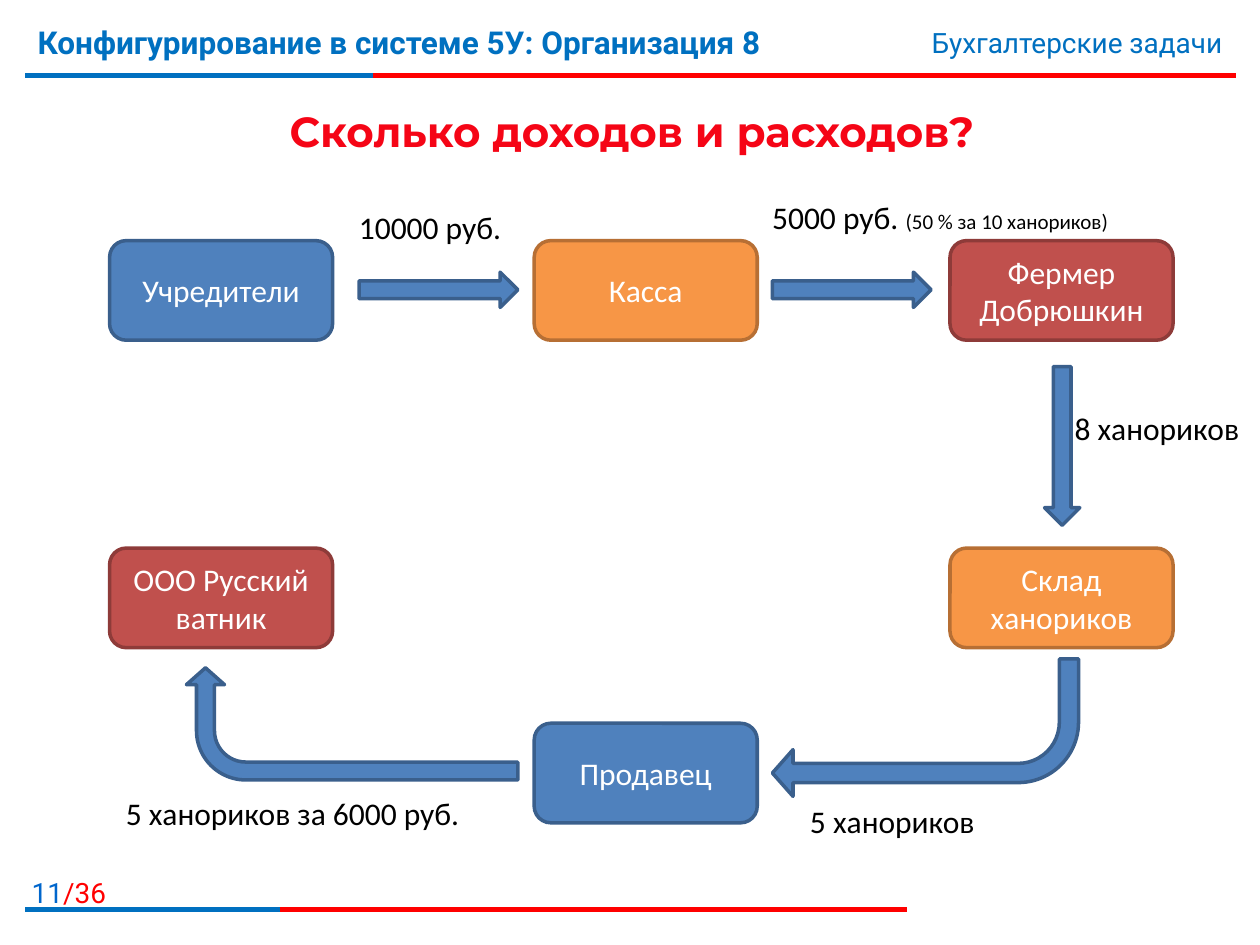
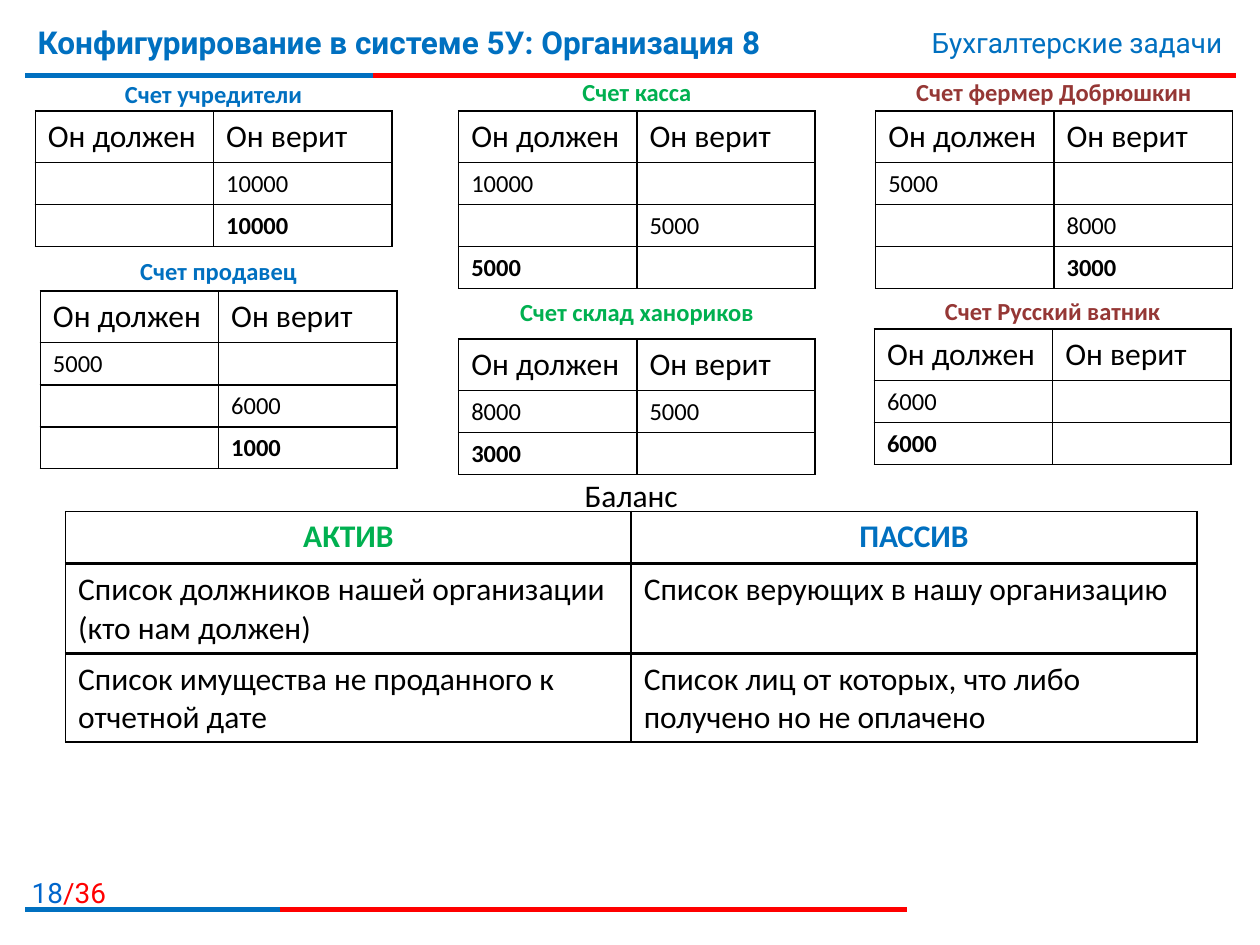
"""Build two accounting slides: a flow of goods and cash, and the account tables."""
from dataclasses import dataclass
from typing import Any, NamedTuple

from lxml import etree
from pptx import Presentation
from pptx import util as u
from pptx.dml.color import RGBColor
from pptx.enum import shapes, text
from pptx.oxml.ns import qn

KIND = shapes.MSO_SHAPE
ALIGN = text.PP_ALIGN


@dataclass(frozen=True)
class Theme:
    """Colours, faces and type sizes of the deck."""
    blue: str = "0070C0"
    page: str = "0066CC"
    red: str = "FF0000"
    green: str = "00B050"
    wine: str = "953735"
    black: str = "000000"
    white: str = "FFFFFF"
    glow: tuple = ((0.55, "F50516"), (0.86, "C00000"))
    sky: tuple = ("4F81BD", "3A5F8C")
    sun: tuple = ("F79646", "B76F34")
    brick: tuple = ("C0504D", "8E3B39")
    body: str = "Calibri"
    head: str = "Roboto"
    show: str = "Montserrat"
    title: int = 24
    large: int = 18
    mid: int = 16
    small: int = 14
    tiny: int = 12


T = Theme()
COLS, ROWS = 100, 75
deck = Presentation()
deck.slide_width, deck.slide_height = u.Inches(10), u.Inches(7.5)


class Box(NamedTuple):
    """A place in grid columns and rows."""
    left: float
    top: float
    wide: float
    high: float

    def place(self) -> tuple:
        """Return the place in slide units."""
        return (across(self.left), down(self.top),
                across(self.wide), down(self.high))


class Node(NamedTuple):
    """A party in the flow."""
    label: str
    left: float
    top: float
    tone: tuple


class Arrow(NamedTuple):
    """A block arrow between parties."""
    kind: Any
    box: Box
    turn: int = 0
    bend: tuple = ()


class Note(NamedTuple):
    """A caption beside an arrow."""
    bits: tuple
    box: Box


class Account(NamedTuple):
    """A titled account whose last row is its total."""
    title: str
    shade: str
    left: float
    head: float
    top: float
    rows: tuple


class Rule(NamedTuple):
    """A red rule whose first stretch is blue."""
    row: float
    end: float
    mark: float


RULES = (Rule(6, 98.1, 29.6), Rule(72.2, 72, 22.2))
NODE_WIDE, NODE_HIGH = 17.7, 7.9
LEFT, MID, RIGHT = 8.7, 42.4, 75.4
UPPER, LOWER, BASE = 19.1, 43.5, 57.4
NODES = (
    Node("Учредители", LEFT, UPPER, T.sky),
    Node("Касса", MID, UPPER, T.sun),
    Node("Фермер Добрюшкин", RIGHT, UPPER, T.brick),
    Node("Склад ханориков", RIGHT, LOWER, T.sun),
    Node("Продавец", MID, BASE, T.sky),
    Node("ООО Русский ватник", LEFT, LOWER, T.brick),
)
ARROWS = (
    Arrow(KIND.RIGHT_ARROW, Box(28.5, 21.6, 12.6, 2.8)),
    Arrow(KIND.RIGHT_ARROW, Box(61.3, 21.6, 12.6, 2.8)),
    Arrow(KIND.DOWN_ARROW, Box(82.9, 29.1, 2.8, 12.6)),
    Arrow(KIND.BENT_ARROW, Box(61.3, 52.3, 24.3, 10.9), 180, (0.14, 0.17, 0.15, 0.44)),
    Arrow(KIND.BENT_ARROW, Box(23.5, 44.3, 8.9, 26.3), 270, (0.16, 0.17, 0.15, 0.44)),
)
NOTES = (
    Note(("10000 руб.",), Box(27.5, 16, 13.8, 4)),
    Note(("5000 руб. ", ("(50 % за 10 ханориков)", T.tiny)), Box(60.3, 15.2, 37.9, 4)),
    Note(("8 ханориков",), Box(84.3, 32, 15.7, 4)),
    Note(("5 ханориков",), Box(63.3, 63.2, 19.5, 4)),
    Note(("5 ханориков за 6000 руб.",), Box(9, 62.5, 30.6, 4)),
)
HEAD_HIGH, ROW_HIGH, PAIR_WIDE = 4.1, 3.33, 28.3
ACCOUNTS = (
    Account("Счет учредители", T.blue, 2.8, 5.8, 8.8,
            (("", "10000"), ("", "10000"))),
    Account("Счет касса", T.green, 36.4, 5.6, 8.8,
            (("10000", ""), ("", "5000"), ("5000", ""))),
    Account("Счет фермер Добрюшкин", T.wine, 69.5, 5.6, 8.8,
            (("5000", ""), ("", "8000"), ("", "3000"))),
    Account("Счет продавец", T.blue, 3.2, 19.8, 23.1,
            (("5000", ""), ("", "6000"), ("", "1000"))),
    Account("Счет склад ханориков", T.green, 36.4, 23.1, 26.9,
            (("8000", "5000"), ("3000", ""))),
    Account("Счет Русский ватник", T.wine, 69.4, 23, 26.1,
            (("6000", ""), ("6000", ""))),
)
BALANCE = (
    ("АКТИВ", T.green, "Список должников нашей организации (кто нам должен)",
     "Список имущества не проданного к отчетной дате"),
    ("ПАССИВ", T.blue, "Список верующих в нашу организацию",
     "Список лиц от которых, что либо получено но не оплачено"),
)


def across(cols: float) -> int:
    """Turn grid columns into slide units."""
    return round(deck.slide_width * cols / COLS)


def down(rows: float) -> int:
    """Turn grid rows into slide units."""
    return round(deck.slide_height * rows / ROWS)


def tint(code: str) -> RGBColor:
    """Turn a hex code into a colour."""
    return RGBColor.from_string(code)


def say(frame: Any, *bits: Any, size: int = T.large, shade: str = T.black,
        bold: bool = False, face: str = T.body, align: Any = ALIGN.LEFT) -> None:
    """Write runs; a bit may be a tuple of words, size and shade."""
    frame.word_wrap = True
    para = frame.paragraphs[0]
    para.alignment = align
    for bit in bits:
        words, *extra = (bit,) if isinstance(bit, str) else bit
        if not words:
            etree.SubElement(para._p, qn("a:endParaRPr"), sz=str(size * 100))
            continue
        run = para.add_run()
        run.text = words
        font = run.font
        font.name, font.bold = face, bold
        font.size = u.Pt(extra[0] if extra else size)
        font.color.rgb = tint(extra[1] if len(extra) > 1 else shade)


def label(slide: Any, box: Box, *bits: Any, **form: Any) -> Any:
    """Add a text box and return its frame."""
    frame = slide.shapes.add_textbox(*box.place()).text_frame
    say(frame, *bits, **form)
    return frame


def stroke(slide: Any, row: float, end: float, shade: str) -> None:
    """Draw a level line from the left margin."""
    line = slide.shapes.add_connector(
        shapes.MSO_CONNECTOR.STRAIGHT, across(2), down(row), across(end), down(row))
    line.line.color.rgb, line.line.width = tint(shade), u.Pt(3)
    etree.SubElement(line._element.spPr, qn("a:effectLst"))


def start(page: int) -> Any:
    """Add a slide with the shared header and footer."""
    slide = deck.slides.add_slide(deck.slide_layouts[6])
    for rule in RULES:
        stroke(slide, rule.row, rule.end, T.red)
        stroke(slide, rule.row, rule.mark, T.blue)
    label(slide, Box(0, 69, 9.4, 3.2), str(page), ("/36", T.mid, T.red),
          size=T.mid, shade=T.page, face=T.head, align=ALIGN.RIGHT)
    label(slide, Box(2, 1.3, 74, 6.2), "Конфигурирование в системе 5У: Организация 8",
          shade=T.blue, bold=True, face=T.head)
    label(slide, Box(59.4, 1.5, 38.6, 3.7), "Бухгалтерские задачи",
          size=T.mid, shade=T.blue, face=T.head, align=ALIGN.RIGHT)
    return slide


def headline(slide: Any, words: str) -> None:
    """Add a title with a red fade and a white outline."""
    frame = label(slide, Box(2.1, 6.3, 96.1, 8.2), words, size=T.title,
                  bold=True, face=T.show, align=ALIGN.CENTER)
    frame.vertical_anchor = text.MSO_ANCHOR.MIDDLE
    font = frame.paragraphs[0].runs[0].font
    font.fill.gradient()
    font.fill.gradient_angle = 270
    for stop, (spot, shade) in zip(font.fill.gradient_stops, T.glow):
        stop.position, stop.color.rgb = spot, tint(shade)
    edge = etree.Element(qn("a:ln"), w=str(u.Pt(0.75)))
    paint = etree.SubElement(edge, qn("a:solidFill"))
    etree.SubElement(paint, qn("a:srgbClr"), val=T.white)
    font._element.insert(0, edge)


def block(slide: Any, kind: Any, box: Box, tone: tuple) -> Any:
    """Add a filled and outlined shape."""
    shape = slide.shapes.add_shape(kind, *box.place())
    shape.shadow.inherit = False
    shape.fill.solid()
    shape.fill.fore_color.rgb = tint(tone[0])
    shape.line.color.rgb, shape.line.width = tint(tone[1]), u.Pt(2)
    return shape


def strip(slide: Any, box: Box, *words: str, **form: Any) -> None:
    """Add a one-row table with thin black borders."""
    grid = slide.shapes.add_table(1, len(words), *box.place()).table
    grid.first_row = grid.horz_banding = False
    for cell, word in zip(grid.rows[0].cells, words):
        say(cell.text_frame, word, **form)
        for side in ("lnL", "lnR", "lnT", "lnB"):
            edge = etree.SubElement(cell._tc.get_or_add_tcPr(), qn(f"a:{side}"),
                                    w=str(u.Pt(1)))
            paint = etree.SubElement(edge, qn("a:solidFill"))
            etree.SubElement(paint, qn("a:srgbClr"), val=T.black)
        cell.fill.background()


def ledger(slide: Any, item: Account) -> None:
    """Draw an account with its title, heads and rows."""
    label(slide, Box(item.left, item.head, PAIR_WIDE, 3.4), item.title,
          size=T.small, shade=item.shade, bold=True, align=ALIGN.CENTER)
    strip(slide, Box(item.left, item.top, PAIR_WIDE, HEAD_HIGH), "Он должен", "Он верит")
    for step, pair in enumerate(item.rows):
        top = item.top + HEAD_HIGH + step * ROW_HIGH
        strip(slide, Box(item.left, top, PAIR_WIDE, ROW_HIGH), *pair,
              size=T.small, bold=step == len(item.rows) - 1)


def flow() -> None:
    """Build the slide of the flow."""
    slide = start(11)
    headline(slide, "Сколько доходов и расходов?")
    for node in NODES:
        box = Box(node.left, node.top, NODE_WIDE, NODE_HIGH)
        shape = block(slide, KIND.ROUNDED_RECTANGLE, box, node.tone)
        say(shape.text_frame, node.label, shade=T.white, align=ALIGN.CENTER)
        shape.text_frame.vertical_anchor = text.MSO_ANCHOR.MIDDLE
    for arrow in ARROWS:
        shape = block(slide, arrow.kind, arrow.box, T.sky)
        shape.rotation = arrow.turn
        for spot, bend in enumerate(arrow.bend):
            shape.adjustments[spot] = bend
    for note in NOTES:
        label(slide, note.box, *note.bits)


def books() -> None:
    """Build the slide of accounts and balance."""
    slide = start(18)
    for item in ACCOUNTS:
        ledger(slide, item)
    label(slide, Box(5.3, 37.3, 89.6, 4), "Баланс", align=ALIGN.CENTER)
    wide = 44.9
    for col, (name, shade, *lists) in enumerate(BALANCE):
        left = 5.2 + col * wide
        strip(slide, Box(left, 40.6, wide, HEAD_HIGH), name,
              shade=shade, bold=True, align=ALIGN.CENTER)
        for row, words in enumerate(lists):
            strip(slide, Box(left, 44.8 + row * 7.1, wide, 7), words)


flow()
books()
deck.save("out.pptx")
